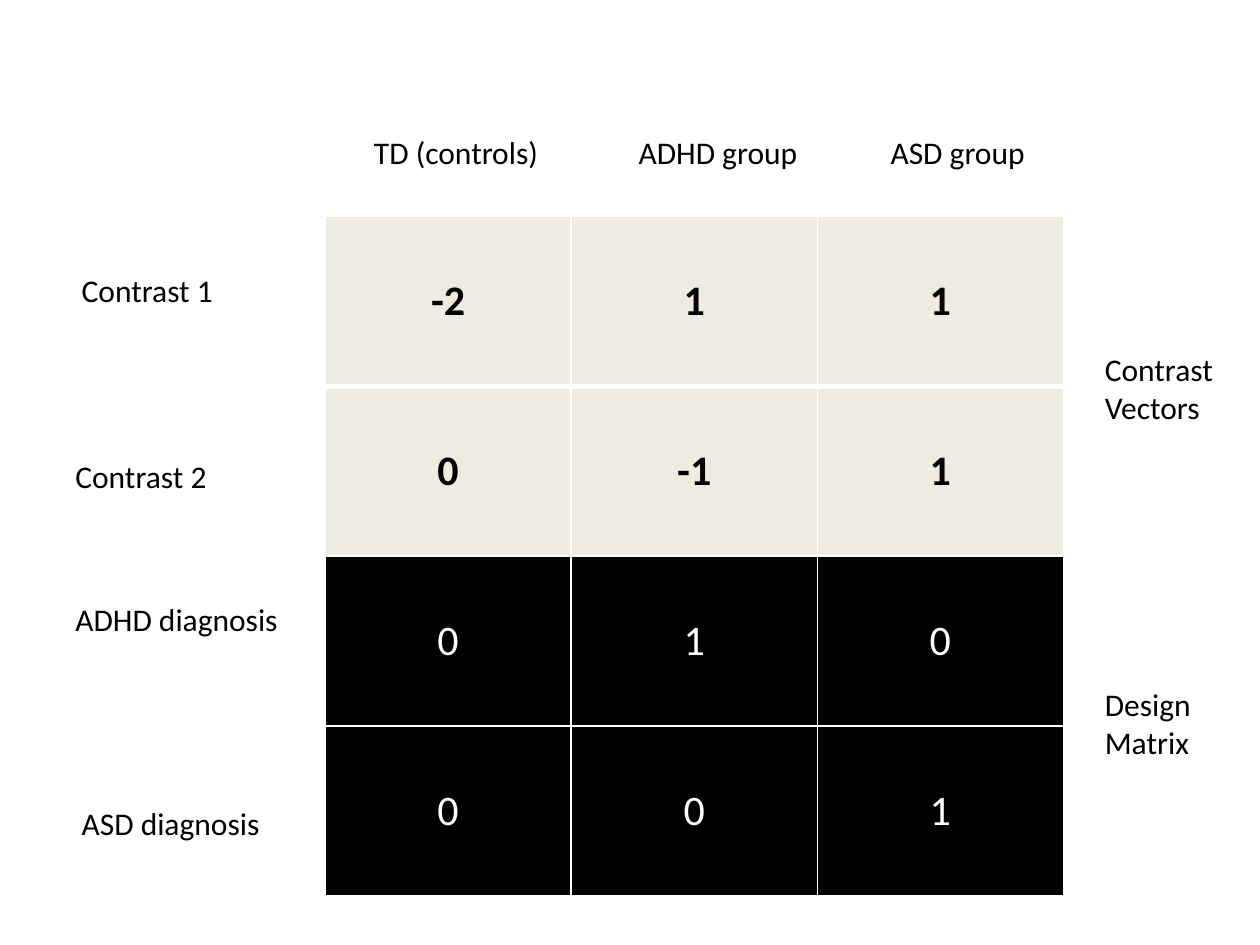
import pptx
import pptx.dml.color
import pptx.enum.text
import pptx.oxml
import pptx.oxml.ns
import pptx.util

FONT = "Calibri"
BLACK, WHITE, CREAM = "000000", "FFFFFF", "EEECE1"
SLIDE_WIDTH, SLIDE_HEIGHT = 10, 7.5
MATRIX_BOX = (2.58, 1.72, 5.86, 5.39)
LINE_HEIGHT = 0.4
SIDE_WIDTH, SIDE_HEIGHT = 1.09, 0.71

CONTRASTS = [["-2", "1", "1"], ["0", "-1", "1"]]
DESIGN = [["0", "1", "0"], ["0", "0", "1"]]

# Label, left, width
GROUPS = [("TD (controls)", 2.87, 1.63), ("ADHD group", 4.97, 2.66), ("ASD group", 6.97, 2.66)]
# Label, left, top
ROW_LABELS = [
    ("Contrast 1", 0.55, 2.1),
    ("Contrast 2", 0.5, 3.58),
    ("ADHD diagnosis", 0.5, 4.71),
    ("ASD diagnosis", 0.55, 6.33),
]
# Label, top
SIDE_LABELS = [("Contrast Vectors", 2.73), ("Design Matrix", 5.39)]


def color(value):
    return pptx.dml.color.RGBColor.from_string(value)


def inches(box):
    return [pptx.util.Inches(length) for length in box]


def add_span(para, text, size, ink, bold=False):
    span = para.add_run()
    span.text = text
    span.font.name = FONT
    span.font.size = pptx.util.Pt(size)
    span.font.bold = bold
    span.font.color.rgb = color(ink)


def add_label(slide, text, box):
    frame = slide.shapes.add_textbox(*inches(box)).text_frame
    frame.word_wrap = True
    frame.auto_size = pptx.enum.text.MSO_AUTO_SIZE.SHAPE_TO_FIT_TEXT
    add_span(frame.paragraphs[0], text, 18, BLACK)


def set_borders(cell, widths):
    """Draw white borders; widths are points for left, right, top and bottom."""
    properties = cell._tc.get_or_add_tcPr()
    namespace = pptx.oxml.ns.nsdecls("a")
    for index, (side, width) in enumerate(zip("LRTB", widths)):
        line = pptx.oxml.parse_xml(
            f'<a:ln{side} {namespace} w="{pptx.util.Pt(width)}"><a:solidFill>'
            f'<a:srgbClr val="{WHITE}"/></a:solidFill></a:ln{side}>'
        )
        properties.insert(index, line)


def add_matrix(slide, box):
    values = CONTRASTS + DESIGN
    left, top, width, height = box
    table = slide.shapes.add_table(len(values), len(values[0]), *inches(box)).table
    for column in table.columns:
        column.width = pptx.util.Inches(width / len(values[0]))
    for row_index, row in enumerate(values):
        table.rows[row_index].height = pptx.util.Inches(height / len(values))
        is_contrast = row_index < len(CONTRASTS)
        fill, ink = (CREAM, BLACK) if is_contrast else (BLACK, WHITE)
        top_width = 3 if row_index == 1 else 1
        bottom_width = 3 if row_index == 0 else 1
        for column_index, value in enumerate(row):
            cell = table.cell(row_index, column_index)
            cell.fill.solid()
            cell.fill.fore_color.rgb = color(fill)
            cell.vertical_anchor = pptx.enum.text.MSO_ANCHOR.MIDDLE
            set_borders(cell, (1, 1, top_width, bottom_width))
            para = cell.text_frame.paragraphs[0]
            para.alignment = pptx.enum.text.PP_ALIGN.CENTER
            add_span(para, value, 24, ink, bold=is_contrast)


def add_labels(slide, box):
    """Place the group, row and side labels around the matrix box."""
    left, top, width, height = box
    for text, label_left, label_width in GROUPS:
        add_label(slide, text, (label_left, top - 0.71, label_width, LINE_HEIGHT))
    for text, label_left, label_top in ROW_LABELS:
        add_label(slide, text, (label_left, label_top, 2.03, LINE_HEIGHT))
    for text, label_top in SIDE_LABELS:
        add_label(slide, text, (left + width + 0.23, label_top, SIDE_WIDTH, SIDE_HEIGHT))


def main():
    deck = pptx.Presentation()
    deck.slide_width, deck.slide_height = inches((SLIDE_WIDTH, SLIDE_HEIGHT))
    slide = deck.slides.add_slide(deck.slide_layouts[6])
    add_matrix(slide, MATRIX_BOX)
    add_labels(slide, MATRIX_BOX)
    deck.save("out.pptx")


if __name__ == "__main__":
    main()
